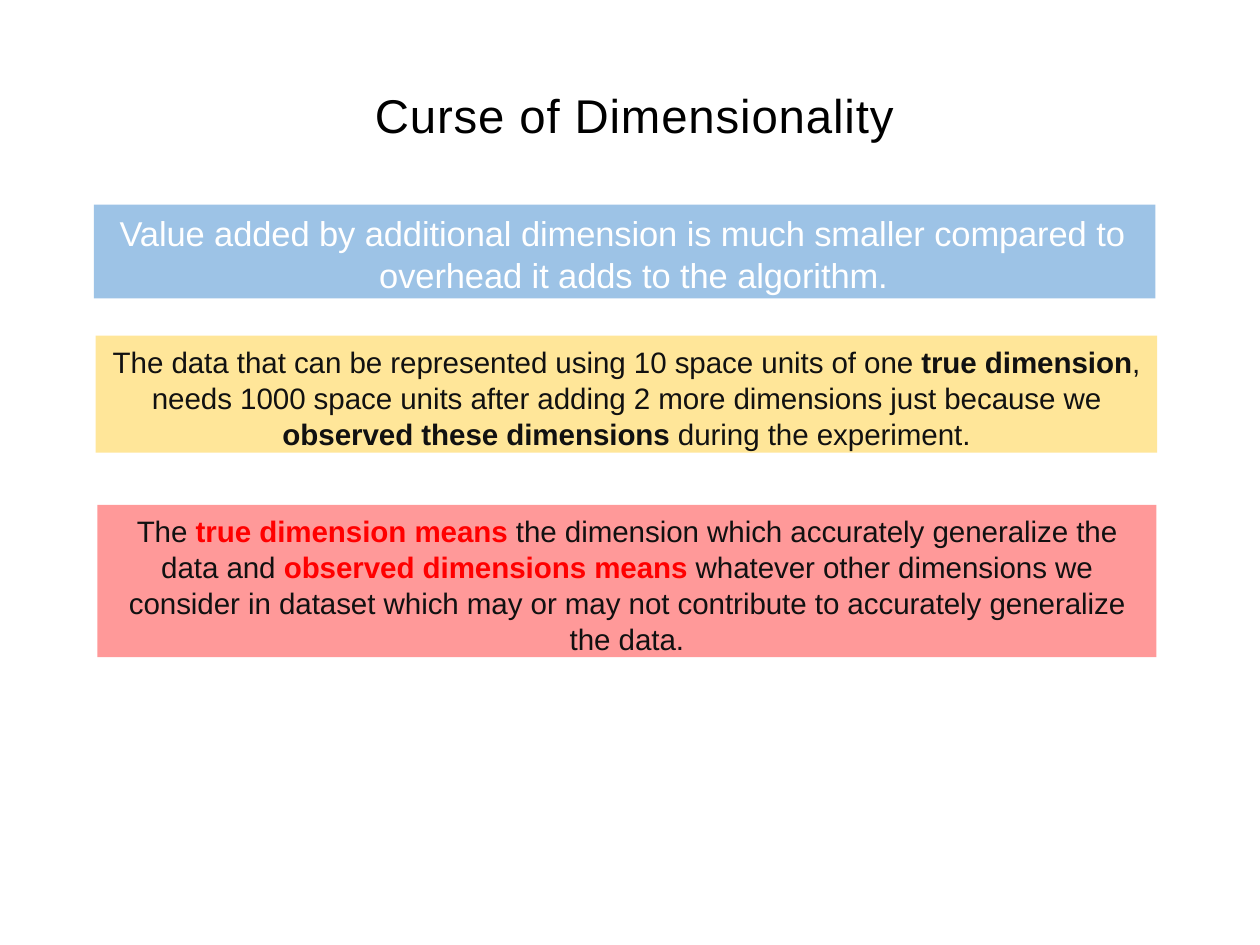
from dataclasses import dataclass

from pptx import Presentation
from pptx.dml.color import RGBColor
from pptx.enum.shapes import MSO_SHAPE
from pptx.enum.text import MSO_ANCHOR, MSO_AUTO_SIZE, PP_ALIGN
from pptx.shapes.autoshape import Shape
from pptx.slide import Slide
from pptx.util import Emu, Pt

EMU_PER_PX = 9144  # 100 px to the inch

BLACK = RGBColor(0x00, 0x00, 0x00)
WHITE = RGBColor(0xFF, 0xFF, 0xFF)
INK = RGBColor(0x11, 0x11, 0x11)
RED = RGBColor(0xFF, 0x00, 0x00)
BLUE_FILL = RGBColor(0x9D, 0xC3, 0xE6)
YELLOW_FILL = RGBColor(0xFF, 0xE6, 0x99)
PINK_FILL = RGBColor(0xFF, 0x99, 0x99)


@dataclass(frozen=True)
class Panel:
    """A filled box; every second piece of its text is emphasised."""
    left: int
    top: int
    width: int
    height: int
    fill: RGBColor
    pieces: tuple[str, ...]
    size: float = 24
    color: RGBColor = INK
    emphasis: RGBColor = INK
    align: PP_ALIGN = PP_ALIGN.CENTER
    side_inset: int = 0
    top_inset: int = 9
    indent: int = 0
    hanging: int = 0


PANELS = (
    Panel(106, 231, 1198, 106, BLUE_FILL,
          ("Value added by additional dimension is much smaller compared to "
           "overhead it adds to the algorithm.",),
          size=28, color=WHITE, align=PP_ALIGN.LEFT, top_inset=8,
          indent=322, hanging=293),
    Panel(108, 379, 1198, 132, YELLOW_FILL,
          ("The data that can be represented using 10 space units of one ",
           "true dimension",
           ", needs 1000 space units after adding 2 more dimensions "
           "just because we ",
           "observed these dimensions ",
           "during the experiment."),
          side_inset=10),
    Panel(110, 570, 1195, 172, PINK_FILL,
          ("The ",
           "true dimension means ",
           "the dimension which accurately generalize the data and ",
           "observed dimensions means ",
           "whatever other dimensions we consider in dataset which may or "
           "may not contribute to accurately generalize the data."),
          emphasis=RED, side_inset=25),
)


def px(length: int) -> Emu:
    return Emu(length * EMU_PER_PX)


def write_text(shape: Shape, pieces: tuple[str, ...], *, size: float,
               color: RGBColor, emphasis: RGBColor, align: PP_ALIGN,
               tracking: int, side_inset: int = 0, top_inset: int = 0,
               indent: int = 0, hanging: int = 0,
               line_spacing: float = 1.0) -> None:
    """Fill the shape with one paragraph; tracking is in 1/100 pt."""
    frame = shape.text_frame
    frame.word_wrap = True
    frame.auto_size = MSO_AUTO_SIZE.NONE
    frame.vertical_anchor = MSO_ANCHOR.TOP
    frame.margin_left = frame.margin_right = px(side_inset)
    frame.margin_top, frame.margin_bottom = px(top_inset), 0
    paragraph = frame.paragraphs[0]
    paragraph.alignment = align
    paragraph.line_spacing = line_spacing
    if indent:
        properties = paragraph._p.get_or_add_pPr()
        properties.set("marL", str(px(indent)))
        properties.set("indent", str(px(-hanging)))
    for index, piece in enumerate(pieces):
        emphasised = index % 2 == 1
        run = paragraph.add_run()
        run.text = piece
        run.font.name = "Arial"
        run.font.size = Pt(size)
        run.font.bold = emphasised
        run.font.color.rgb = emphasis if emphasised else color
        run._r.get_or_add_rPr().set("spc", str(tracking))


def set_title(slide: Slide) -> None:
    title = slide.shapes.title
    title.left, title.top = px(423), px(95)
    title.width, title.height = px(600), px(67)
    write_text(title, ("Curse of Dimensionality",), size=38.5, color=BLACK,
               emphasis=BLACK, align=PP_ALIGN.LEFT, tracking=70, top_inset=2)


def add_panel(slide: Slide, panel: Panel) -> None:
    shape = slide.shapes.add_shape(
        MSO_SHAPE.RECTANGLE, px(panel.left), px(panel.top),
        px(panel.width), px(panel.height))
    shape.shadow.inherit = False
    shape.fill.solid()
    shape.fill.fore_color.rgb = panel.fill
    shape.line.fill.background()
    write_text(shape, panel.pieces, size=panel.size, color=panel.color,
               emphasis=panel.emphasis, align=panel.align, tracking=-5,
               side_inset=panel.side_inset, top_inset=panel.top_inset,
               indent=panel.indent, hanging=panel.hanging, line_spacing=1.01)


def main() -> None:
    presentation = Presentation()
    presentation.slide_width = px(1422)
    presentation.slide_height = px(1067)
    slide = presentation.slides.add_slide(presentation.slide_layouts[5])
    set_title(slide)
    for panel in PANELS:
        add_panel(slide, panel)
    presentation.save("out.pptx")


if __name__ == "__main__":
    main()
